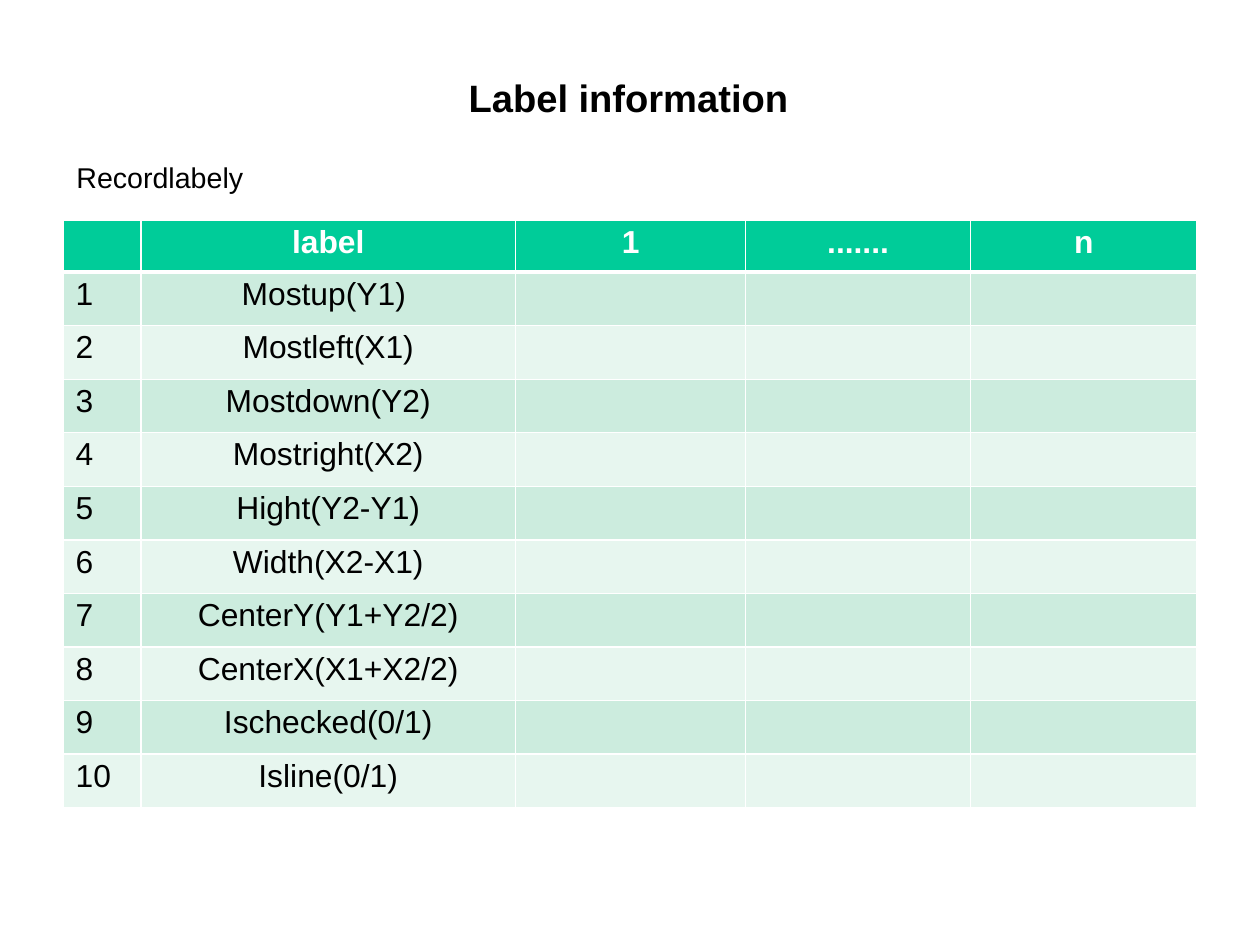
"""Build the label information slide with its record table."""
import dataclasses

import lxml.etree
import pptx
import pptx.dml.color
import pptx.enum.text
import pptx.oxml.ns
import pptx.util

Cm = pptx.util.Cm
Pt = pptx.util.Pt
Align = pptx.enum.text.PP_ALIGN
Anchor = pptx.enum.text.MSO_ANCHOR


@dataclasses.dataclass(frozen=True)
class Theme:
    font: str = "Arial"
    ink: str = "000000"
    paper: str = "FFFFFF"
    head: str = "00CC99"
    bands: tuple = ("CCECDE", "E7F6EF")
    title: int = 24
    note: int = 18
    cell: int = 20
    space: float = 0.93
    thin: int = 1
    thick: int = 3


class Deck:
    def __init__(self, theme, width, height):
        self.theme = theme
        self.file = pptx.Presentation()
        self.file.slide_width = Cm(width)
        self.file.slide_height = Cm(height)
        self.slide = self.file.slides.add_slide(self.file.slide_layouts[5])

    def label(self, frame, text, size, color, bold=False, align=Align.LEFT):
        frame.text = text
        line = frame.paragraphs[0]
        line.alignment = align
        line.line_spacing = self.theme.space
        line.font.name = self.theme.font
        line.font.size = Pt(size)
        line.font.bold = bold
        line.font.color.rgb = pptx.dml.color.RGBColor.from_string(color)

    def title(self, text, left, top, width, height):
        shape = self.slide.shapes.title
        shape.left, shape.top = Cm(left), Cm(top)
        shape.width, shape.height = Cm(width), Cm(height)
        frame = shape.text_frame
        frame.auto_size = pptx.enum.text.MSO_AUTO_SIZE.NONE
        frame.vertical_anchor = Anchor.MIDDLE
        self.label(frame, text, self.theme.title, self.theme.ink, bold=True)

    def note(self, text, left, top, width, height):
        box = self.slide.shapes.add_textbox(
            Cm(left), Cm(top), Cm(width), Cm(height))
        box.text_frame.word_wrap = True
        self.label(box.text_frame, text, self.theme.note, self.theme.ink)

    def border(self, cell, side, width):
        name = pptx.oxml.ns.qn
        props = cell._tc.get_or_add_tcPr()
        line = lxml.etree.SubElement(props, name("a:ln" + side))
        line.set("w", str(Pt(width)))
        fill = lxml.etree.SubElement(line, name("a:solidFill"))
        color = lxml.etree.SubElement(fill, name("a:srgbClr"))
        color.set("val", self.theme.paper)

    def cell(self, cell, text, row, col):
        theme = self.theme
        is_head = row == 0
        for side in "LRTB":
            is_rule = (row, side) in ((0, "B"), (1, "T"))
            self.border(cell, side, theme.thick if is_rule else theme.thin)
        fill = theme.head if is_head else theme.bands[(row - 1) % 2]
        cell.fill.solid()
        cell.fill.fore_color.rgb = pptx.dml.color.RGBColor.from_string(fill)
        cell.margin_left = cell.margin_right = Cm(0.28)
        cell.margin_top = cell.margin_bottom = Cm(0.15)
        cell.vertical_anchor = Anchor.TOP
        self.label(cell.text_frame, text, theme.cell,
                   theme.paper if is_head else theme.ink, is_head,
                   Align.CENTER if is_head or col else Align.LEFT)

    def table(self, rows, left, top, widths, heights):
        table = self.slide.shapes.add_table(
            len(rows), len(widths), Cm(left), Cm(top),
            Cm(sum(widths)), Cm(sum(heights))).table
        for column, width in zip(table.columns, widths):
            column.width = Cm(width)
        for row, (texts, height) in enumerate(zip(rows, heights)):
            table.rows[row].height = Cm(height)
            for col, text in enumerate(texts):
                self.cell(table.cell(row, col), text, row, col)


def main():
    labels = ["Mostup(Y1) ", "Mostleft(X1)", "Mostdown(Y2)", "Mostright(X2)",
              "Hight(Y2-Y1)", "Width(X2-X1)", "CenterY(Y1+Y2/2)",
              "CenterX(X1+X2/2)", "Ischecked(0/1)", "Isline(0/1)"]
    rows = [["", "label", "1", ".......", "n"]]
    rows += [[str(index), label, "", "", ""]
             for index, label in enumerate(labels, 1)]
    deck = Deck(Theme(), 28, 21)
    deck.title("Label information", 10.16, 1.6, 7.85, 1.22)
    deck.note("Recordlabely", 1.45, 3.5, 4.72, 0.97)
    deck.table(rows, 1.4, 4.9, [1.73, 8.33, 5.11, 5, 5.03],
               [1.12] + [1.19] * len(labels))
    deck.file.save("out.pptx")


if __name__ == "__main__":
    main()
